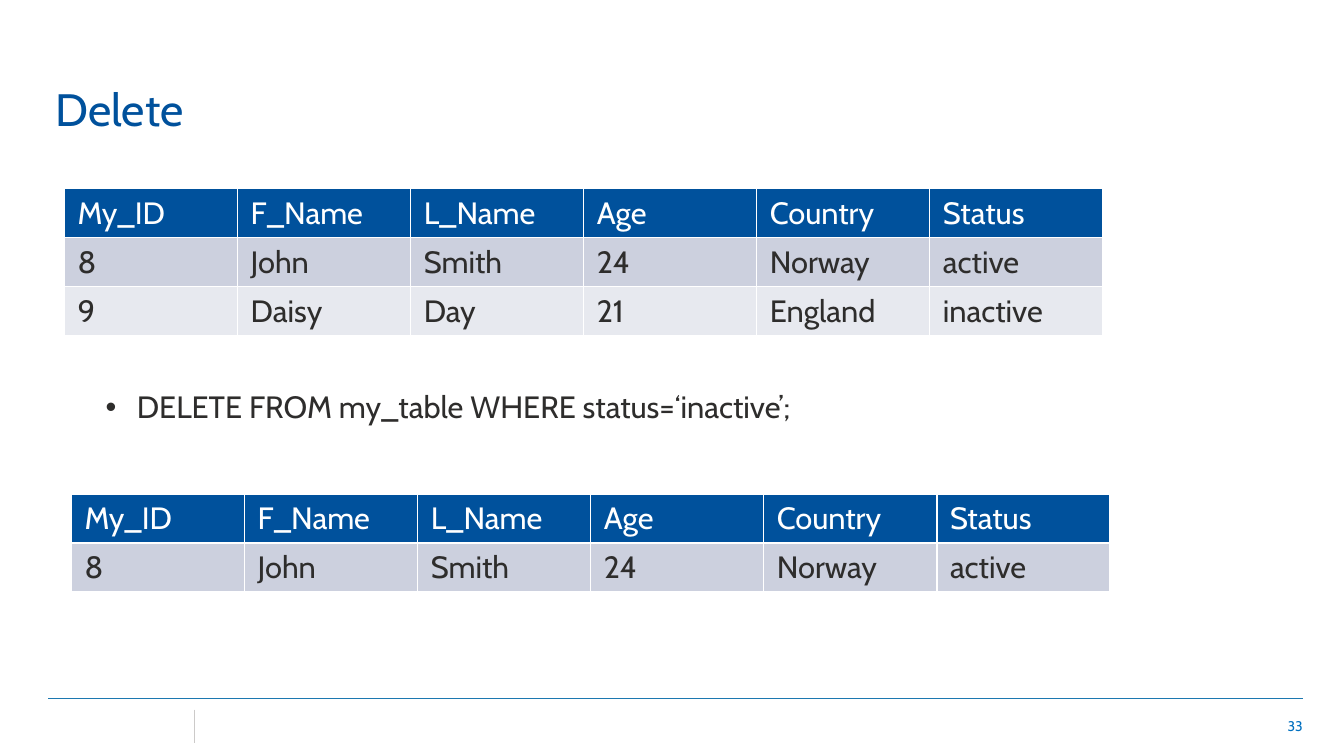
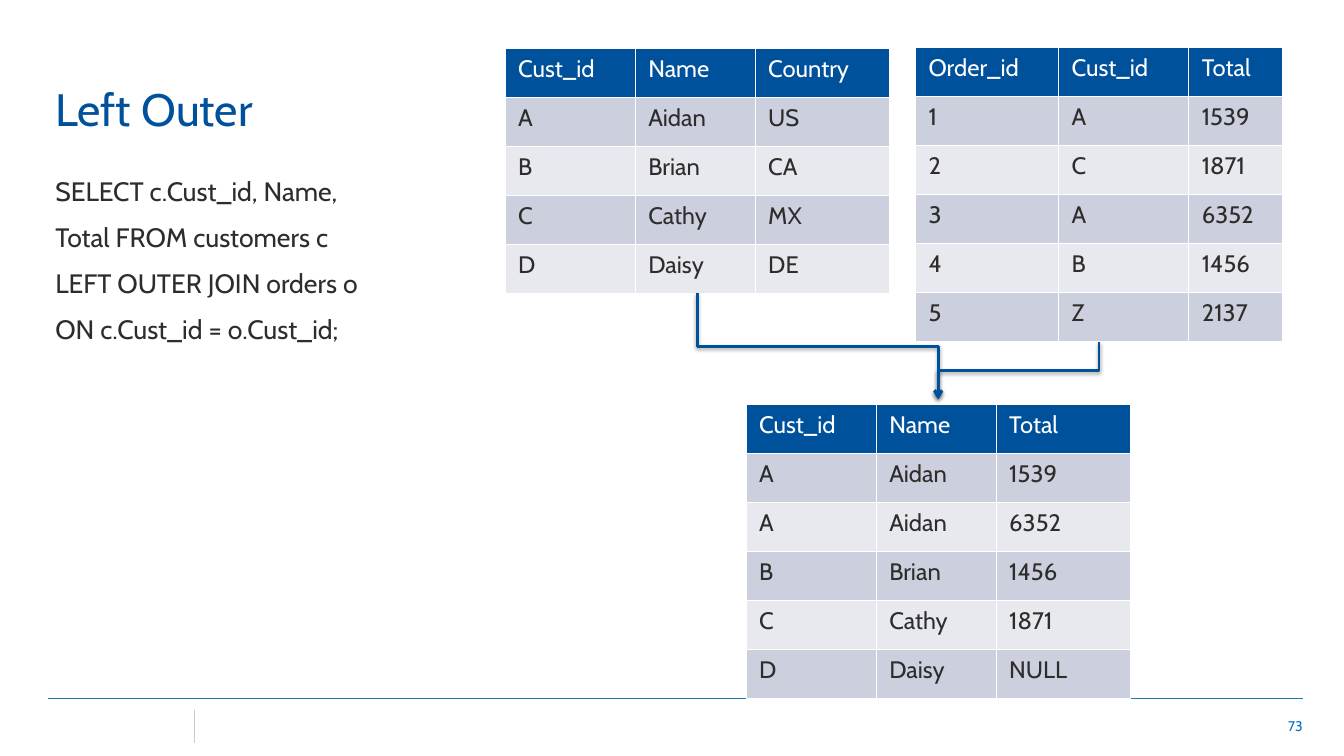
from dataclasses import dataclass

from lxml import etree
from pptx import Presentation
from pptx.dml.color import RGBColor
from pptx.enum.shapes import MSO_CONNECTOR
from pptx.enum.text import MSO_ANCHOR, PP_ALIGN
from pptx.oxml import parse_xml
from pptx.oxml.ns import nsdecls, qn
from pptx.shapes.connector import Connector
from pptx.slide import Slide
from pptx.text.text import TextFrame, _Paragraph
from pptx.util import Inches, Pt

STRAIGHT, ELBOW = MSO_CONNECTOR.STRAIGHT, MSO_CONNECTOR.ELBOW
BOTTOM, MIDDLE = MSO_ANCHOR.BOTTOM, MSO_ANCHOR.MIDDLE
LEFT, RIGHT = PP_ALIGN.LEFT, PP_ALIGN.RIGHT
TITLE_ONLY = 5


@dataclass(frozen=True)
class Theme:
    font: str = "Cabin"
    blue: str = "00519C"
    text: str = "2E2D2C"
    white: str = "FFFFFF"
    band_dark: str = "CCD0DE"
    band_light: str = "E7E9EF"
    rule: str = "1C78B0"
    divider: str = "CCCAC9"
    number: str = "0070C0"
    title_size: float = 32.4
    large_size: float = 22
    query_size: float = 19
    table_size: float = 17
    number_size: float = 10


THEME = Theme()


@dataclass(frozen=True)
class Grid:
    """A data table; the first row is the header, lengths are in inches."""
    left: float
    top: float
    height: float
    widths: tuple[float, ...]
    rows: tuple[str, ...]
    size: float

    @property
    def center(self) -> float:
        return self.left + sum(self.widths) / 2

    @property
    def bottom(self) -> float:
        return self.top + self.height


# Table contents: one string per row, cells split at blanks
PEOPLE_ROWS = (
    "My_ID F_Name L_Name Age Country Status",
    "8 John Smith 24 Norway active",
    "9 Daisy Day 21 England inactive",
)
PEOPLE_WIDTHS = (10.3 / 6,) * 6
BEFORE = Grid(0.64, 1.87, 1.46, PEOPLE_WIDTHS, PEOPLE_ROWS, THEME.large_size)
AFTER = Grid(0.71, 4.9, 0.97, PEOPLE_WIDTHS, PEOPLE_ROWS[:2], THEME.large_size)

CUSTOMER_WIDTHS = (1.29, 1.19, 1.33)
CUSTOMERS = Grid(
    5.01, 0.48, 2.43, CUSTOMER_WIDTHS,
    ("Cust_id Name Country", "A Aidan US", "B Brian CA", "C Cathy MX", "D Daisy DE"),
    THEME.table_size,
)
ORDERS = Grid(
    9.08, 0.47, 2.92, (1.42, 1.29, 0.93),
    ("Order_id Cust_id Total", "1 A 1539", "2 C 1871", "3 A 6352", "4 B 1456", "5 Z 2137"),
    THEME.table_size,
)
JOINED = Grid(
    7.4, 4.01, 2.92, CUSTOMER_WIDTHS,
    ("Cust_id Name Total", "A Aidan 1539", "A Aidan 6352", "B Brian 1456",
     "C Cathy 1871", "D Daisy NULL"),
    THEME.table_size,
)


# Text helpers
def add_span(para: _Paragraph, text: str, size: float, color: str) -> None:
    span = para.add_run()
    span.text = text
    span.font.name = THEME.font
    span.font.size = Pt(size)
    span.font.color.rgb = RGBColor.from_string(color)


def add_box(page: Slide, left: float, top: float, width: float, height: float) -> TextFrame:
    box = page.shapes.add_textbox(Inches(left), Inches(top), Inches(width), Inches(height))
    box.text_frame.word_wrap = True
    return box.text_frame


def add_bullet(para: _Paragraph, margin: float, hanging: float) -> None:
    properties = para._p.get_or_add_pPr()
    properties.set("marL", str(Inches(margin)))
    properties.set("indent", str(-Inches(hanging)))
    etree.SubElement(properties, qn("a:buFont")).set("typeface", "Arial")
    etree.SubElement(properties, qn("a:buChar")).set("char", "•")


# Lines
def add_line(page: Slide, kind: MSO_CONNECTOR, start: tuple[float, float],
             end: tuple[float, float], color: str, weight: float) -> Connector:
    points = [Inches(value) for value in (*start, *end)]
    line = page.shapes.add_connector(kind, *points)
    line.line.color.rgb = RGBColor.from_string(color)
    line.line.width = Pt(weight)
    etree.SubElement(line._element.spPr, qn("a:effectLst"))
    return line


def add_flow(page: Slide, source: Grid, target: Grid) -> None:
    """Draw an elbow arrow that leaves downward and arrives downward."""
    start_y, end_y = source.bottom, target.top - 0.05
    middle_x, middle_y = (source.center + target.center) / 2, (start_y + end_y) / 2
    half_drop = (end_y - start_y) / 2
    half_span = abs(target.center - source.center) / 2
    # The unrotated frame lies on its side; a quarter turn makes it vertical
    goes_right = target.center > source.center
    side = 1 if goes_right else -1
    arrow = add_line(
        page, ELBOW,
        (middle_x + side * half_drop, middle_y - half_span),
        (middle_x - side * half_drop, middle_y + half_span),
        THEME.blue, 2,
    )
    properties = arrow._element.spPr
    quarter_turn = 270 if goes_right else 90
    properties.find(qn("a:xfrm")).set("rot", str(quarter_turn * 60000))
    etree.SubElement(properties.find(qn("a:ln")), qn("a:tailEnd")).set("type", "arrow")
    properties.find(qn("a:effectLst")).append(parse_xml(
        f'<a:outerShdw {nsdecls("a")} blurRad="{Pt(3.1)}" dist="{Pt(1.6)}" dir="5400000" '
        'rotWithShape="0"><a:srgbClr val="000000"><a:alpha val="38000"/></a:srgbClr>'
        '</a:outerShdw>'
    ))


# Tables
def add_grid(page: Slide, grid: Grid) -> None:
    table = page.shapes.add_table(
        len(grid.rows), len(grid.widths), Inches(grid.left), Inches(grid.top),
        Inches(sum(grid.widths)), Inches(grid.height),
    ).table
    table.horz_banding = False
    for column, width in zip(table.columns, grid.widths):
        column.width = Inches(width)
    for index, row in enumerate(grid.rows):
        table.rows[index].height = Inches(grid.height / len(grid.rows))
        if index == 0:
            fill, color = THEME.blue, THEME.white
        else:
            fill = THEME.band_dark if index % 2 else THEME.band_light
            color = THEME.text
        for cell, text in zip(table.rows[index].cells, row.split()):
            cell.margin_left = cell.margin_right = Inches(0.13)
            cell.margin_top = cell.margin_bottom = Inches(0.06)
            for edge in ("lnL", "lnR", "lnT", "lnB"):
                cell._tc.get_or_add_tcPr().append(parse_xml(
                    f'<a:{edge} {nsdecls("a")} w="{Pt(1)}"><a:solidFill>'
                    f'<a:srgbClr val="{THEME.white}"/></a:solidFill></a:{edge}>'
                ))
            cell.fill.solid()
            cell.fill.fore_color.rgb = RGBColor.from_string(fill)
            add_span(cell.text_frame.paragraphs[0], text, grid.size, color)


# Shared page frame: title, footer rules and page number
def add_page(deck: Presentation, heading: str, number: int) -> Slide:
    page = deck.slides.add_slide(deck.slide_layouts[TITLE_ONLY])
    title = page.shapes.title
    title.left, title.top = Inches(0.45), Inches(0.71)
    title.width, title.height = Inches(9.98), Inches(0.69)
    title.text_frame.vertical_anchor = BOTTOM
    para = title.text_frame.paragraphs[0]
    para.alignment = LEFT
    add_span(para, heading, THEME.title_size, THEME.blue)

    add_line(page, STRAIGHT, (0.48, 6.93), (12.92, 6.93), THEME.rule, 0.25)
    add_line(page, STRAIGHT, (1.93, 7.04), (1.93, 7.37), THEME.divider, 0.25)
    frame = add_box(page, 9.91, 7, 3.11, 0.4)
    frame.vertical_anchor = MIDDLE
    frame.paragraphs[0].alignment = RIGHT
    add_span(frame.paragraphs[0], str(number), THEME.number_size, THEME.number)
    return page


def build_delete(deck: Presentation) -> None:
    page = add_page(deck, "Delete", 33)
    add_grid(page, BEFORE)
    para = add_box(page, 0.45, 3.8, 12.47, 0.5).paragraphs[0]
    add_bullet(para, 0.81, 0.31)
    add_span(para, "DELETE FROM my_table WHERE status=‘inactive’;",
             THEME.large_size, THEME.text)
    add_grid(page, AFTER)


def build_left_outer(deck: Presentation) -> None:
    page = add_page(deck, "Left Outer", 73)
    frame = add_box(page, 0.45, 1.69, 4.31, 1.95)
    query = (
        "SELECT c.Cust_id, Name,",
        "Total FROM customers c",
        "LEFT OUTER JOIN orders o",
        "ON c.Cust_id = o.Cust_id;",
    )
    for index, text in enumerate(query):
        para = frame.add_paragraph() if index else frame.paragraphs[0]
        para.space_before = Pt(2 if index else 0)
        para.space_after = Pt(8)
        add_span(para, text, THEME.query_size, THEME.text)
    for source in (CUSTOMERS, ORDERS):
        add_grid(page, source)
        add_flow(page, source, JOINED)
    add_grid(page, JOINED)


def main() -> None:
    deck = Presentation()
    deck.slide_width, deck.slide_height = Inches(13.33), Inches(7.5)
    build_delete(deck)
    build_left_outer(deck)
    deck.save("out.pptx")


if __name__ == "__main__":
    main()
